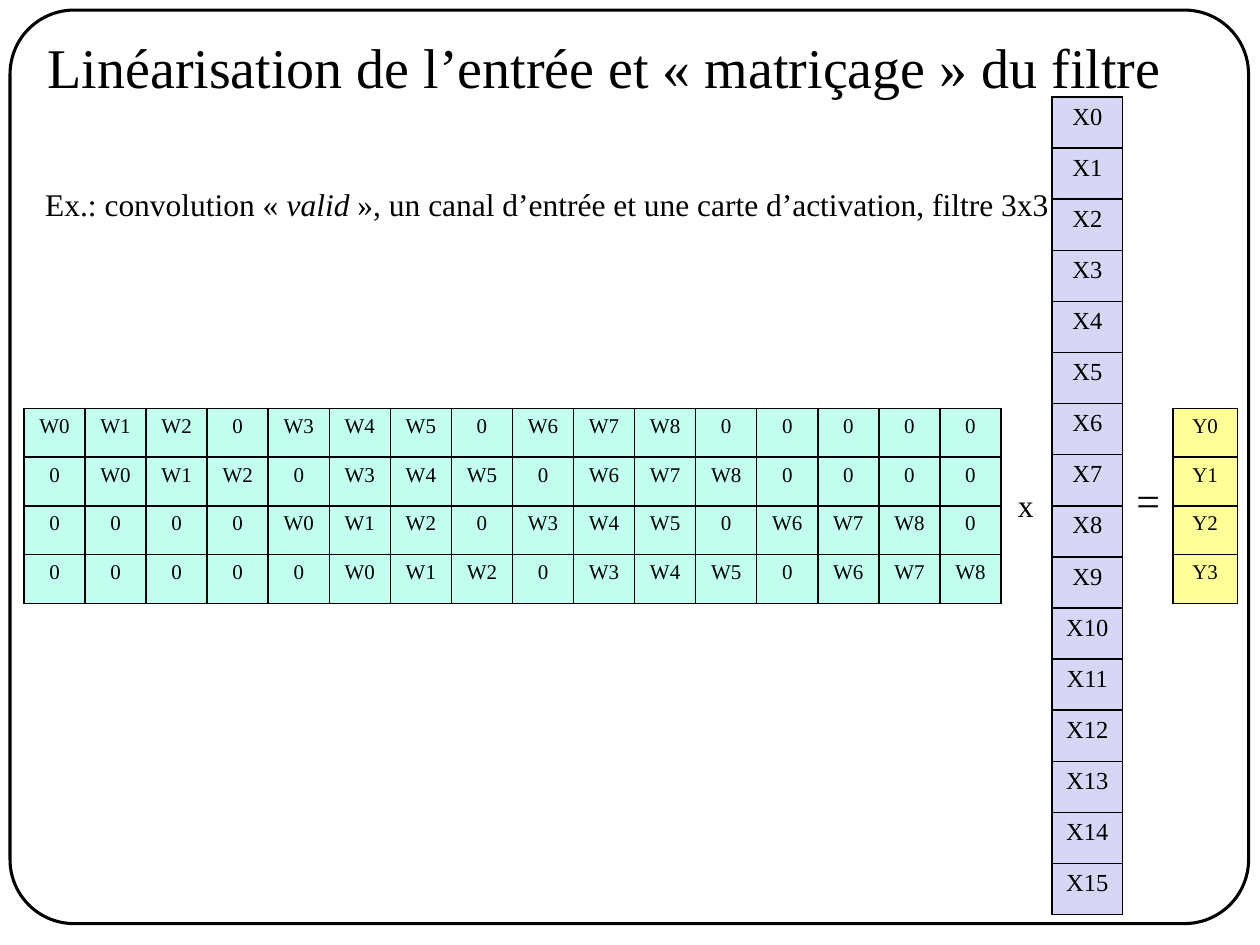
"""Build the slide showing a convolution as a matrix-vector product."""
from lxml.etree import SubElement
from pptx import Presentation
from pptx.dml.color import RGBColor
from pptx.enum.shapes import MSO_SHAPE
from pptx.enum.text import MSO_ANCHOR, MSO_AUTO_SIZE, PP_ALIGN
from pptx.oxml.ns import qn
from pptx.util import Inches, Pt

BLACK = RGBColor(0x00, 0x00, 0x00)
MINT = RGBColor(0xC2, 0xFF, 0xF0)
LAVENDER = RGBColor(0xD6, 0xD6, 0xF5)
YELLOW = RGBColor(0xFF, 0xFF, 0x99)
FONT = "Times New Roman"
INPUT_SIDE, FILTER_SIDE = 4, 3
OUTPUT_SIDE = INPUT_SIDE - FILTER_SIDE + 1

deck = Presentation()
deck.slide_width, deck.slide_height = Inches(10), Inches(7.5)
slide = deck.slides.add_slide(deck.slide_layouts[6])


def place(left, top, width, height):
    """Turn percentages of the slide into lengths."""
    across, down = deck.slide_width / 100, deck.slide_height / 100
    return round(left * across), round(top * down), round(width * across), round(height * down)


def write(paragraph, text, size, italic=False):
    """Add one styled run to a paragraph."""
    run = paragraph.add_run()
    run.text = text
    run.font.name, run.font.size, run.font.italic = FONT, Pt(size), italic
    run.font.color.rgb = BLACK


frame = slide.shapes.add_shape(MSO_SHAPE.ROUNDED_RECTANGLE, *place(0.8, 1.07, 98.3, 96.67))
frame.adjustments[0] = 0.07
frame.shadow.inherit = False
frame.fill.background()
frame.line.color.rgb = BLACK
frame.line.width = Pt(1.75)

weights = []
for output in range(OUTPUT_SIDE ** 2):
    down, right = divmod(output, OUTPUT_SIDE)
    weight_row = ["0"] * INPUT_SIDE ** 2
    for weight in range(FILTER_SIDE ** 2):
        row, column = divmod(weight, FILTER_SIDE)
        weight_row[(down + row) * INPUT_SIDE + right + column] = f"W{weight}"
    weights.append(weight_row)
inputs = [[f"X{i}"] for i in range(INPUT_SIDE ** 2)]
outputs = [[f"Y{i}"] for i in range(OUTPUT_SIDE ** 2)]

for values, area, colour, size in (
    (weights, (1.9, 43.2, 77.6, 20.67), MINT, 12),
    (outputs, (93.1, 43.2, 5.1, 20.67), YELLOW, 12),
    (inputs, (83.5, 10.27, 5.6, 86.53), LAVENDER, 14),
):
    left, top, width, height = place(*area)
    table = slide.shapes.add_table(len(values), len(values[0]), left, top, width, height).table
    table.first_row = table.horz_banding = False
    for table_row, row_values in zip(table.rows, values):
        table_row.height = round(height / len(values))
        for cell, value in zip(table_row.cells, row_values):
            for side in ("a:lnL", "a:lnR", "a:lnT", "a:lnB"):
                border = SubElement(cell._tc.get_or_add_tcPr(), qn(side), w=str(Pt(1)))
                SubElement(SubElement(border, qn("a:solidFill")), qn("a:srgbClr"), val=str(BLACK))
            cell.fill.solid()
            cell.fill.fore_color.rgb = colour
            paragraph = cell.text_frame.paragraphs[0]
            paragraph.alignment = PP_ALIGN.CENTER
            write(paragraph, value, size)

example = (
    ("Ex.: convolution « ", False),
    ("valid", True),
    (" », un canal d’entrée et une carte d’activation, filtre 3x3", False),
)
for area, size, pieces in (
    ((2.6, 18.93, 82.5, 5.33), 18, example),
    ((89.2, 49.6, 3.9, 6.67), 24, [("=", False)]),
    ((79.8, 50.8, 3.3, 5.33), 18, [("x", False)]),
):
    label = slide.shapes.add_textbox(*place(*area)).text_frame
    label.word_wrap = False
    label.auto_size = MSO_AUTO_SIZE.SHAPE_TO_FIT_TEXT
    for text, italic in pieces:
        write(label.paragraphs[0], text, size, italic)

title = slide.shapes.add_textbox(*place(2.8, -1.33, 95.8, 16.67)).text_frame
title.word_wrap = True
title.vertical_anchor = MSO_ANCHOR.MIDDLE
write(title.paragraphs[0], "Linéarisation de l’entrée et « matriçage » du filtre", 32)

deck.save("out.pptx")
